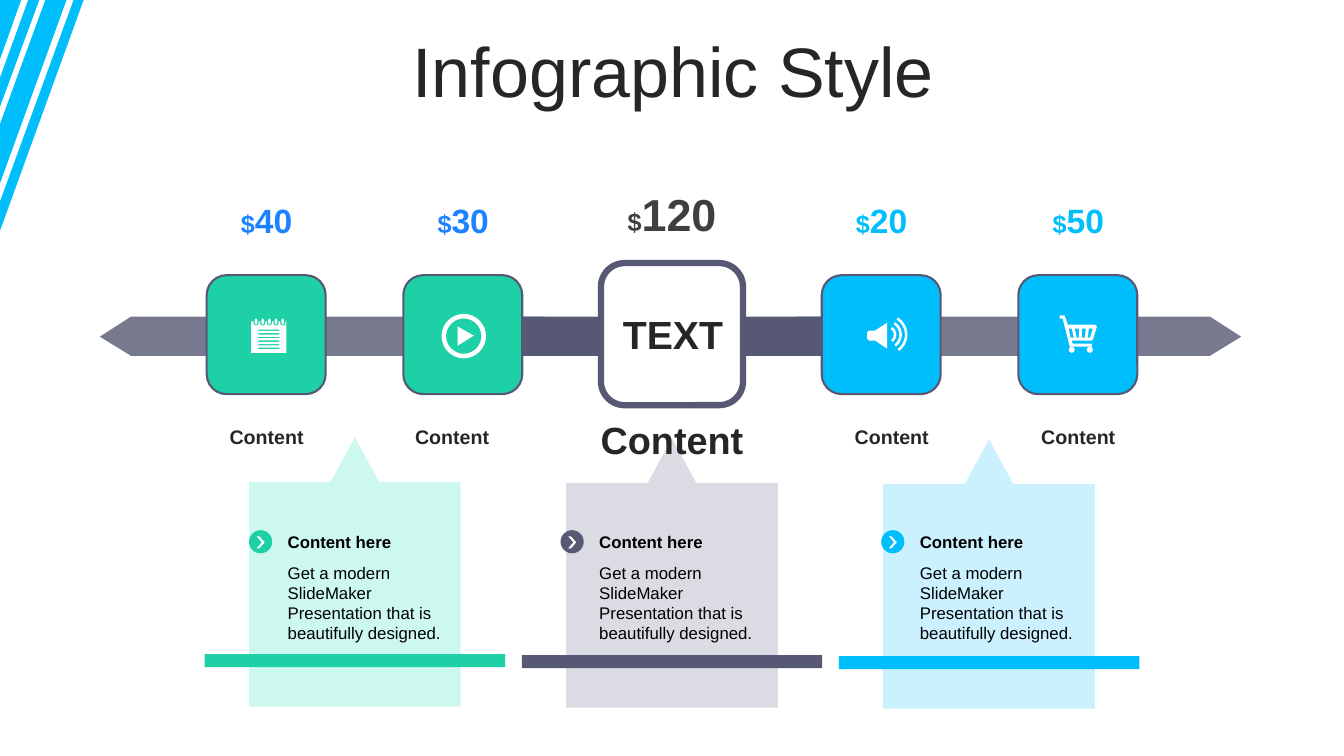
import math

import lxml.etree
import pptx
import pptx.dml.color
import pptx.enum.shapes
import pptx.enum.text
import pptx.oxml.ns
import pptx.util

Inches = pptx.util.Inches
SHAPE = pptx.enum.shapes.MSO_SHAPE
ALIGN = pptx.enum.text.PP_ALIGN
ANCHOR = pptx.enum.text.MSO_ANCHOR
COLORS = {
    "white": "FFFFFF", "black": "000000", "ink": "262626", "grey": "3F3F3F",
    "slate": "565874", "green": "1ED0A6", "sky": "00BDFB", "blue": "1C82FF",
    "pale_green": "CDF8EF", "pale_slate": "DBDBE4", "pale_sky": "CBF1FF",
}


def rgb(name):
    return pptx.dml.color.RGBColor.from_string(COLORS[name])


def write(tf, *runs, size=12, color="ink", bold=False, align=ALIGN.CENTER,
          anchor=ANCHOR.MIDDLE, spacing=None):
    """Fill a text frame; a run is a string or a (string, size) pair."""
    tf.word_wrap = True
    tf.vertical_anchor = anchor
    p = tf.paragraphs[0]
    p.alignment = align
    if spacing:
        p.line_spacing = spacing
    for run in runs:
        text, run_size = run if isinstance(run, tuple) else (run, size)
        r = p.add_run()
        r.text = text
        r.font.name = "Arial"
        r.font.size = pptx.util.Pt(run_size)
        r.font.bold = bold
        r.font.color.rgb = rgb(color)


def arc(cx, cy, rx, ry, start=0, end=360, steps=32):
    """Points along an ellipse, angles in degrees, clockwise from the right."""
    angles = [math.radians(start + (end - start) * i / steps) for i in range(steps + 1)]
    return [(cx + rx * math.cos(a), cy + ry * math.sin(a)) for a in angles]


def box(x, y, w, h):
    return [(x, y), (x + w, y), (x + w, y + h), (x, y + h)]


class Deck:
    def __init__(self):
        self.prs = pptx.Presentation()
        self.prs.slide_width, self.prs.slide_height = Inches(13.33), Inches(7.5)
        self.s = self.prs.slides.add_slide(self.prs.slide_layouts[5])

    def paint(self, sp, fill, line=None, width=1.5, alpha=None):
        sp.shadow.inherit = False
        sp.fill.solid()
        sp.fill.fore_color.rgb = rgb(fill)
        if alpha:
            qn = pptx.oxml.ns.qn
            clr = sp.element.spPr.find(".//" + qn("a:srgbClr"))
            lxml.etree.SubElement(clr, qn("a:alpha"), val=str(alpha * 1000))
        if line:
            sp.line.color.rgb = rgb(line)
            sp.line.width = pptx.util.Pt(width)
        else:
            sp.line.fill.background()

    def title(self, text, x, y, w, h, **style):
        sp = self.s.shapes.title
        sp.left, sp.top, sp.width, sp.height = map(Inches, (x, y, w, h))
        write(sp.text_frame, text, **style)

    def text(self, x, y, w, h, *runs, **style):
        sp = self.s.shapes.add_textbox(*map(Inches, (x, y, w, h)))
        write(sp.text_frame, *runs, **style)

    def shape(self, kind, x, y, w, h, fill, adj=None, **style):
        sp = self.s.shapes.add_shape(kind, *map(Inches, (x, y, w, h)))
        if adj is not None:
            sp.adjustments[0] = adj
        self.paint(sp, fill, **style)

    def outline(self, contours, fill, **style):
        """One freeform; inner contours become holes."""
        loops = [[(Inches(x), Inches(y)) for x, y in loop] for loop in contours]
        fb = self.s.shapes.build_freeform(*loops[0][0])
        for i, loop in enumerate(loops):
            if i:
                fb.move_to(*loop[0])
            fb.add_line_segments(loop[1:], close=True)
        self.paint(fb.convert_to_shape(), fill, **style)


def notepad_icon(deck):
    rings = [2.54 + 0.066 * i for i in range(5)]
    page = [(2.49, 3.19)]
    for x in rings:
        page += [(x - 0.025, 3.19)] + arc(x, 3.21, 0.025, 0.02, 180, 0, 8) + [(x + 0.025, 3.19)]
    page += [(2.84, 3.19), (2.84, 3.5), (2.49, 3.5)]
    rules = [box(2.56, 3.27 + 0.036 * i, 0.21, 0.014) for i in range(6)]
    deck.outline([page] + rules + [arc(x, 3.19, 0.014, 0.03, steps=12) for x in rings], "white")


def play_icon(deck):
    circles = [arc(4.6, 3.335, r, r) for r in (0.22, 0.175)]
    deck.outline(circles + [[(4.54, 3.24), (4.7, 3.33), (4.54, 3.43)]], "white")


def speaker_icon(deck):
    horn = [(8.8, 3.2), (8.8, 3.46), (8.68, 3.38), (8.62, 3.38), (8.6, 3.36),
            (8.6, 3.3), (8.62, 3.28), (8.68, 3.28)]
    waves = [arc(8.8, 3.32, r, r, -58, 54) + arc(8.8, 3.32, r - 0.025, r - 0.025, 54, -58)
             for r in (0.09, 0.145, 0.2)]
    deck.outline([horn] + waves, "white")


def cart_icon(deck):
    body = [(10.51, 3.13), (10.56, 3.13), (10.59, 3.22), (10.86, 3.22), (10.88, 3.24),
            (10.84, 3.37), (10.82, 3.38), (10.63, 3.38), (10.64, 3.41), (10.83, 3.41),
            (10.83, 3.44), (10.61, 3.44), (10.54, 3.16), (10.51, 3.16)]
    slots = [[(a, 3.26), (b, 3.35), (c, 3.35), (d, 3.26)] for a, b, c, d in (
        (10.6, 10.62, 10.65, 10.63), (10.66, 10.68, 10.7, 10.7),
        (10.73, 10.73, 10.76, 10.77), (10.8, 10.79, 10.81, 10.84))]
    deck.outline([body] + slots, "white")
    for x in (10.6, 10.78):
        deck.shape(SHAPE.OVAL, x, 3.44, 0.06, 0.06, "white")


def main():
    deck = Deck()

    # Corner stripes
    deck.outline([
        [(0.73, 0), (0.83, 0), (0, 2.29), (0, 2)],
        [(0.39, 0), (0, 1.06), (0, 0.77), (0.28, 0)],
        [(0.66, 0), (0, 1.82), (0, 1.23), (0.45, 0)],
        [(0, 0), (0.21, 0), (0, 0.59)]], "sky")
    deck.title("Infographic Style", 0.35, 0.37, 12.66, 0.79, size=50, spacing=0.8)

    # Double-headed axis
    for tip, shoulder, end in ((12.31, 12, 7.9), (0.99, 1.3, 5.4)):
        deck.outline([[(shoulder, 3.14), (end, 3.14), (end, 3.53), (shoulder, 3.53),
                       (tip, 3.34)]], "slate", alpha=80)
    deck.shape(SHAPE.RECTANGLE, 4.98, 3.14, 3.95, 0.39, "slate")

    # Centre tile
    deck.shape(SHAPE.ROUNDED_RECTANGLE, 5.96, 2.61, 1.41, 1.41, "white", adj=0.167,
               line="slate", width=4.5)
    deck.text(5.98, 3.03, 1.39, 0.57, "TEXT", size=28, bold=True)

    # Callouts with bars
    for i, (color, pale, bullet_x) in enumerate((
            ("green", "pale_green", 2.47), ("slate", "pale_slate", 5.56),
            ("sky", "pale_sky", 8.74))):
        x, y = 2.03 + 3.145 * i, 4.34 + 0.01 * i
        left, right, mid, top, bottom = x + 0.44, x + 2.54, x + 1.49, y + 0.44, y + 2.67
        deck.outline([[(left, top), (mid - 0.24, top), (mid, y), (mid + 0.24, top),
                       (right, top), (right, bottom), (left, bottom)]], pale)
        deck.shape(SHAPE.RECTANGLE, x, y + 2.15, 2.98, 0.13, color)
        deck.shape(SHAPE.OVAL, bullet_x, 5.26, 0.23, 0.23, color)
        deck.shape(SHAPE.CHEVRON, bullet_x + 0.075, 5.32, 0.08, 0.12, "white", adj=0.652)
        deck.text(bullet_x + 0.285, 5.23, 1.38, 0.3, "Content here", color="black",
                  bold=True, align=ALIGN.LEFT)
        deck.text(bullet_x + 0.285, 5.53, 1.95, 0.91,
                  "Get a modern SlideMaker Presentation that is beautifully designed.",
                  color="black", align=ALIGN.LEFT, anchor=ANCHOR.TOP)

    # Side tiles with price and label
    for x, label_x, price, fill, price_color in (
            (2.05, 2.08, "40", "green", "blue"), (4, 3.92, "30", "green", "blue"),
            (8.15, 8.28, "20", "sky", "sky"), (10.1, 10.13, "50", "sky", "sky")):
        deck.shape(SHAPE.ROUNDED_RECTANGLE, x, 2.73, 1.18, 1.18, fill, adj=0.167, line="slate")
        deck.text(x + 0.03, 1.93, 1.13, 0.5, ("$", 18), (price, 24), color=price_color, bold=True)
        deck.text(label_x, 4.16, 1.13, 0.34, "Content", size=14, bold=True)
    deck.text(5.97, 1.8, 1.39, 0.64, ("$", 18), ("120", 32), color="grey", bold=True)
    deck.text(5.76, 4.08, 1.81, 0.56, "Content", size=27, bold=True)

    # Tile icons
    for icon in (notepad_icon, play_icon, speaker_icon, cart_icon):
        icon(deck)

    deck.prs.save("out.pptx")


if __name__ == "__main__":
    main()
